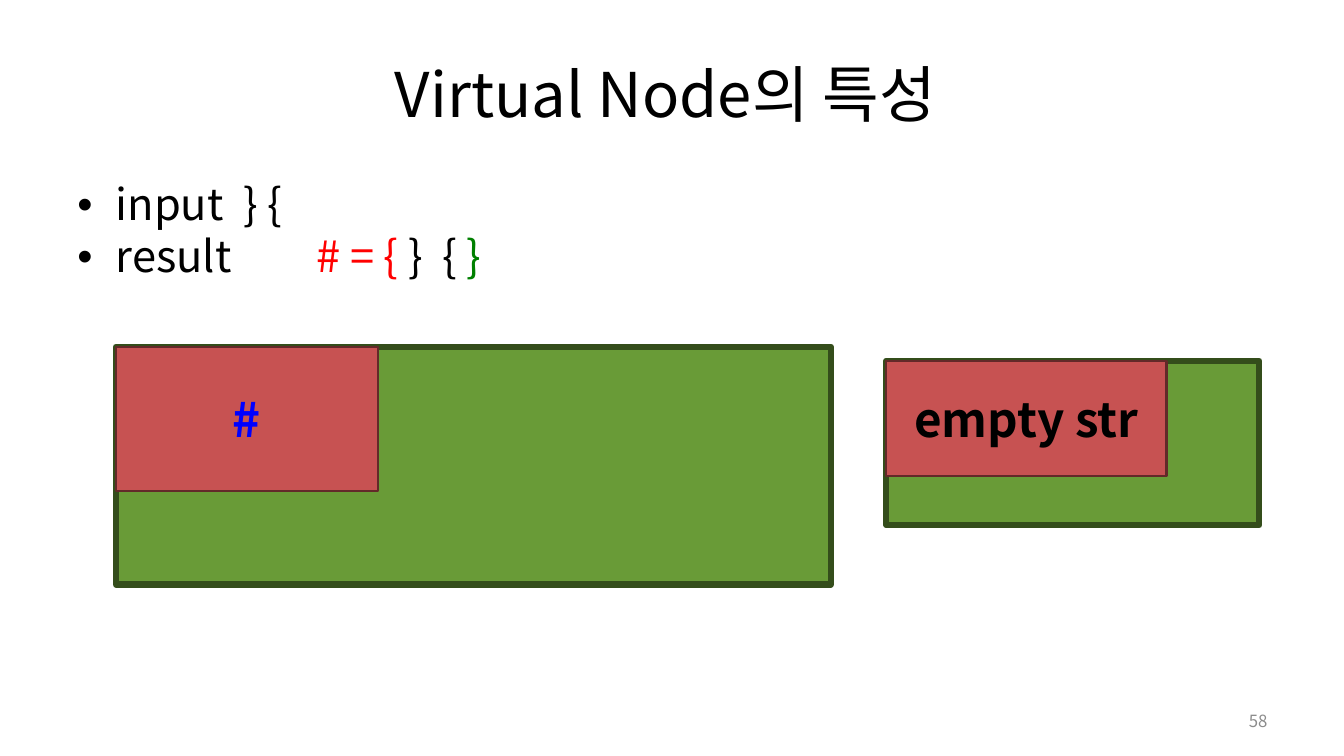
from pptx import Presentation, util as u
from pptx.dml.color import RGBColor
from pptx.enum import shapes, text
from pptx.oxml import parse_xml
from pptx.oxml.ns import nsdecls, qn

# Content
FACE = "Noto Sans CJK KR"
BLACK, RED, GREEN = "000000", "FF0000", "008000"
LABELS = [  # box, align, anchor, size, colour, words
    ((0.67, 0.3, 12, 1.25), "CENTER", "MIDDLE", 44, BLACK, "Virtual Node의 특성 "),
    ((9.56, 6.95, 3.11, 0.4), "RIGHT", "MIDDLE", 12, "8C8C8C", "58"),
]
LIST_BOX = (0.67, 1.75, 12, 1.37)
BULLETS = [
    [("input  } {", BLACK)],
    [("result\t", BLACK), ("# = { ", RED), ("}  { ", BLACK), ("}", GREEN)],
]
NODES = [  # left, top, outer size, inner size, word, colour
    (1.15, 3.44, (7.09, 2.36), (2.6, 1.43), "#", "0000FF"),
    (8.79, 3.58, (3.7, 1.63), (2.78, 1.14), "empty str", BLACK),
]
OUTER = ("699B37", "344D1B", 4.5)
INNER = ("C75252", "632929", 1.5)


def rgb(code):
    return RGBColor.from_string(code)


def put(item, **vals):
    for key, val in vals.items():
        setattr(item, key, val)


def write(para, words, size, color, bold=False):
    run = para.add_run()
    run.text = words
    put(run.font, name=FACE, size=u.Pt(size), bold=bold)
    run.font.color.rgb = rgb(color)
    latin = run._r.get_or_add_rPr().find(qn("a:latin"))
    latin.addnext(parse_xml(f'<a:ea {nsdecls("a")} typeface="{FACE}"/>'))


def box(slide, place):
    frame = slide.shapes.add_textbox(*map(u.Inches, place)).text_frame
    put(frame, word_wrap=True)
    return frame


def rect(slide, place, style):
    fill, edge, width = style
    shape = slide.shapes.add_shape(shapes.MSO_SHAPE.RECTANGLE, *map(u.Inches, place))
    shape.shadow.inherit = False
    shape.fill.solid()
    shape.fill.fore_color.rgb = rgb(fill)
    shape.line.color.rgb = rgb(edge)
    shape.line.width = u.Pt(width)
    return shape


def bullet(para):
    props = para._p.get_or_add_pPr()
    put(para, line_spacing=0.95)
    props.set("marL", str(u.Inches(0.38)))
    props.set("indent", str(u.Inches(-0.38)))
    for tag in ('buFont typeface="Arial"', 'buChar char="•"'):
        props.append(parse_xml(f'<a:{tag} {nsdecls("a")}/>'))
    props.append(parse_xml(
        f'<a:tabLst {nsdecls("a")}><a:tab pos="{u.Inches(2.37)}" algn="l"/></a:tabLst>'))


def main():
    deck = Presentation()
    put(deck, slide_width=u.Inches(13.33), slide_height=u.Inches(7.5))
    slide = deck.slides.add_slide(deck.slide_layouts[6])

    # Title and page number
    for place, align, anchor, size, color, words in LABELS:
        frame = box(slide, place)
        put(frame, vertical_anchor=text.MSO_ANCHOR[anchor])
        para = frame.paragraphs[0]
        put(para, alignment=text.PP_ALIGN[align])
        write(para, words, size, color)

    # Bullets
    frame = box(slide, LIST_BOX)
    for i, parts in enumerate(BULLETS):
        para = frame.add_paragraph() if i else frame.paragraphs[0]
        if i:
            put(para, space_before=u.Pt(1.6))
        bullet(para)
        for words, color in parts:
            write(para, words, 31, color)

    # Nodes: each label sits in the corner of its outer box
    for left, top, outer, inner, word, color in NODES:
        rect(slide, (left, top, *outer), OUTER)
        frame = rect(slide, (left, top, *inner), INNER).text_frame
        put(frame, vertical_anchor=text.MSO_ANCHOR.MIDDLE)
        put(frame.paragraphs[0], alignment=text.PP_ALIGN.CENTER)
        write(frame.paragraphs[0], word, 34, color, True)

    deck.save("out.pptx")


if __name__ == "__main__":
    main()
